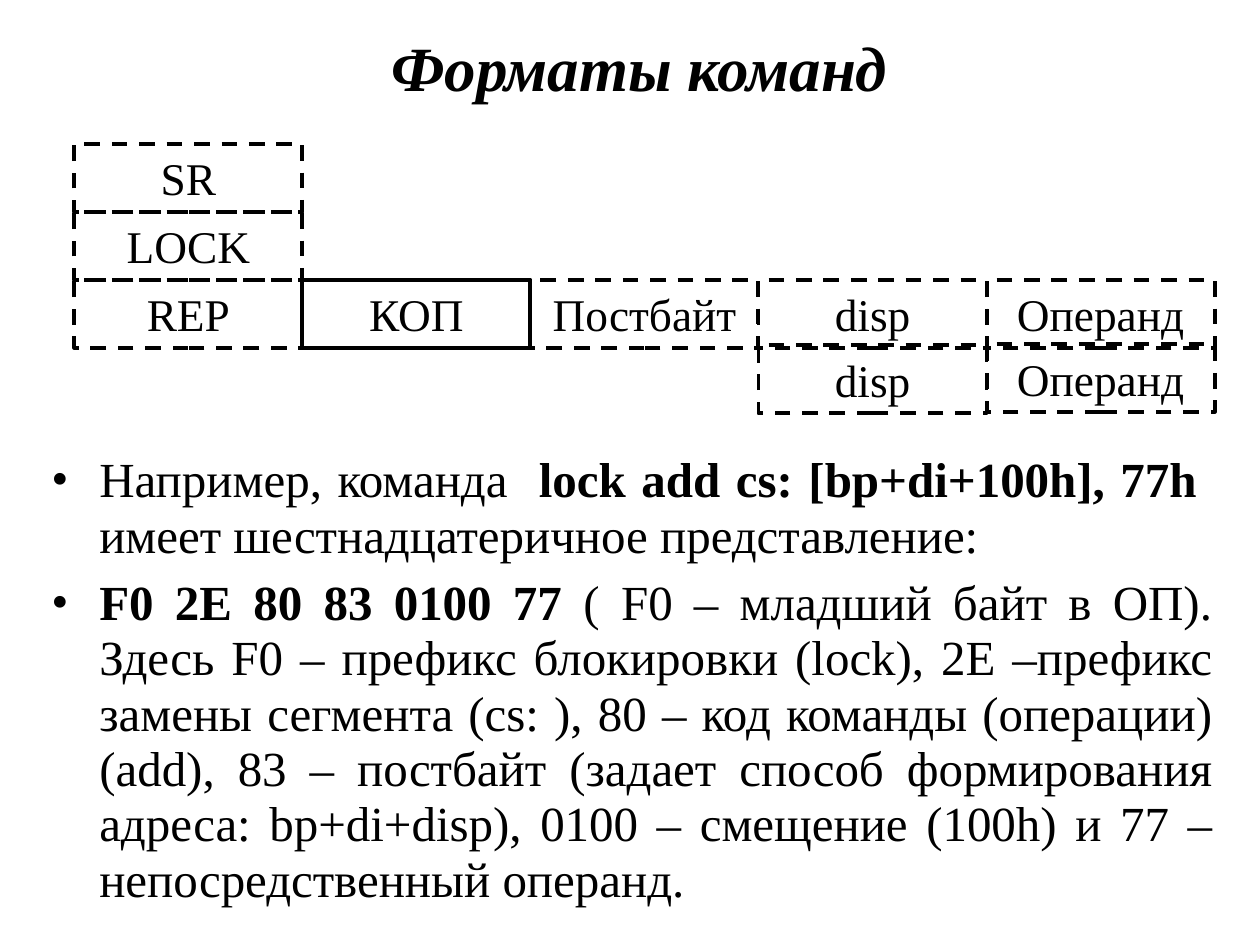
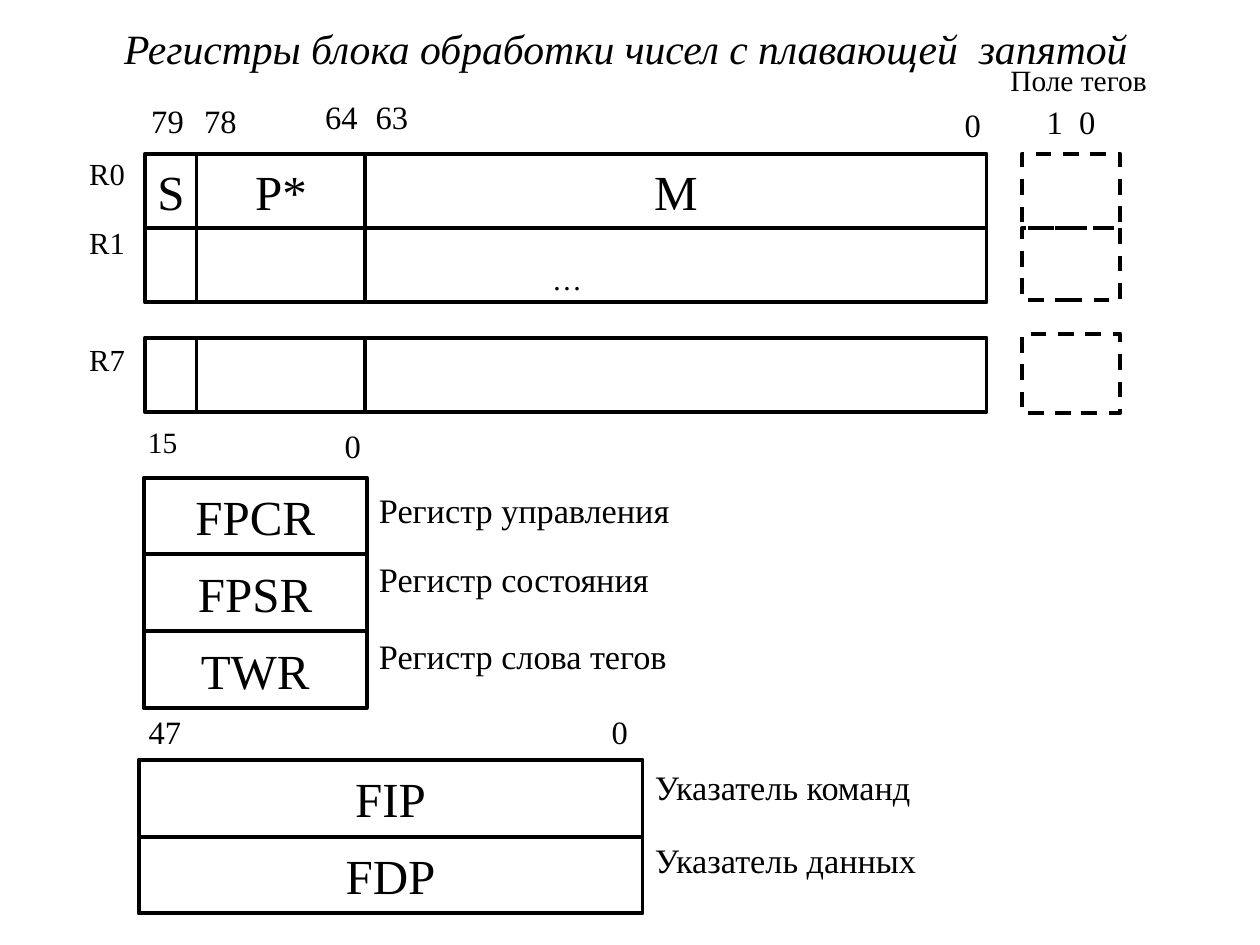
import pptx
import pptx.dml.color
import pptx.enum.dml
import pptx.enum.shapes
import pptx.enum.text
import pptx.util
from dataclasses import dataclass
from itertools import accumulate
from lxml import etree
from pptx.oxml.ns import qn

Inches, Pt = pptx.util.Inches, pptx.util.Pt
ALIGN = pptx.enum.text.PP_ALIGN
ANCHOR = pptx.enum.text.MSO_ANCHOR


@dataclass(frozen=True)
class Theme:
    font: str = "Times New Roman"
    ink: pptx.dml.color.RGBColor = pptx.dml.color.RGBColor(0, 0, 0)
    paper: pptx.dml.color.RGBColor = pptx.dml.color.RGBColor(255, 255, 255)
    outline: float = 2.25
    heading: float = 36
    subheading: float = 23.8
    body: float = 28
    field: float = 25.9
    caption: float = 19.6
    bit: float = 18.6
    row: float = 17.5
    ellipsis: float = 17.1
    small: float = 16.8


THEME = Theme()

# Command format: (text, column, top, dashed)
FORMAT_TITLE = "Форматы команд"
FIELD_LEFT, FIELD_WIDTH, FIELD_HEIGHT = 0.59, 1.81, 0.54
COMMAND_FIELDS = [
    ("REP", 0, 2.22, True),
    ("КОП", 1, 2.22, False),
    ("Постбайт", 2, 2.22, True),
    ("disp", 3, 2.22, True),
    ("Операнд", 4, 2.22, True),
    ("LOCK", 0, 1.68, True),
    ("SR", 0, 1.14, True),
    ("disp", 3, 2.74, True),
    ("Операнд", 4, 2.73, True),
]
# Each paragraph is a list of (text, bold) runs
EXAMPLE = [
    [("Например, команда  ", False),
     ("lock add cs: [bp+di+100h], 77h ", True),
     (" имеет шестнадцатеричное представление:", False)],
    [("F0 2E 80 83 0100 77", True),
     (" ( F0 – младший байт в ОП). Здесь F0 – префикс блокировки (lock), "
      "2E –префикс замены сегмента (cs: ), 80 – код команды (операции) (add), "
      "83 – постбайт (задает способ формирования адреса: bp+di+disp), "
      "0100 – смещение (100h) и 77 – непосредственный операнд.", False)],
]

# Floating-point registers
REGISTERS_TITLE = "Регистры блока обработки чисел с плавающей  запятой"
DATA_LEFT, DATA_WIDTHS, DATA_HEIGHT = 1.15, [0.41, 1.34, 4.93], 0.59
TAG_LEFT, TAG_WIDTH = 8.11, 0.78
# (name, name top, row top, field texts, tag top, tag height)
DATA_REGISTERS = [
    ("R0", 1.18, 1.22, ["S", "P*", "M"], 1.22, 0.59),
    ("R1", 1.73, 1.81, ["", "", ""], 1.81, 0.57),
    ("R7", 2.66, 2.68, ["", "", ""], 2.65, 0.63),
]
# (left, top, width, row height, [(register, meaning, meaning top)])
REGISTER_STACKS = [
    (1.14, 3.79, 1.77, 0.61, [
        ("FPCR", "Регистр управления", 3.83),
        ("FPSR", "Регистр состояния", 4.38),
        ("TWR", "Регистр слова тегов", 4.99)]),
    (1.1, 6.03, 4, 0.61, [
        ("FIP", "Указатель команд", 6.03),
        ("FDP", "Указатель данных", 6.61)]),
]
# (text, centre, top, size)
MARKS = [
    ("79", 1.33, 0.75, THEME.bit),
    ("78", 1.75, 0.75, THEME.bit),
    ("64", 2.71, 0.72, THEME.bit),
    ("63", 3.11, 0.72, THEME.bit),
    ("0", 7.72, 0.78, THEME.bit),
    ("1  0", 8.5, 0.76, THEME.bit),
    ("Поле тегов", 8.56, 0.44, THEME.small),
    ("…", 4.5, 2.02, THEME.ellipsis),
    ("15", 1.29, 3.32, THEME.small),
    ("0", 2.8, 3.33, THEME.bit),
    ("47", 1.31, 5.6, THEME.bit),
    ("0", 4.92, 5.6, THEME.bit),
]
MARK_WIDTH, MARK_HEIGHT = 1.6, 0.42
ROW_NAME_CENTRE = 0.85
MEANING_WIDTH, MEANING_HEIGHT = 4, 0.45


def apply(target, formats):
    for attribute, value in formats.items():
        setattr(target, attribute, value)


def write(paragraph, text, size, **emphasis):
    run = paragraph.add_run()
    run.text = text
    apply(run.font, {"name": THEME.font, "size": Pt(size), **emphasis})
    run.font.color.rgb = THEME.ink


def add_text(slide, at, text, size, align=ALIGN.CENTER, anchor=ANCHOR.TOP, **emphasis):
    frame = slide.shapes.add_textbox(*map(Inches, at)).text_frame
    apply(frame, {"word_wrap": True, "vertical_anchor": anchor})
    frame.paragraphs[0].alignment = align
    if text:
        write(frame.paragraphs[0], text, size, **emphasis)
    return frame


def add_mark(slide, text, centre, top, size):
    at = (centre - MARK_WIDTH / 2, top, MARK_WIDTH, MARK_HEIGHT)
    add_text(slide, at, text, size)


def add_field(slide, at, text, size, dashed=False):
    """Draw an unfilled register or command field."""
    field = slide.shapes.add_shape(
        pptx.enum.shapes.MSO_SHAPE.RECTANGLE, *map(Inches, at))
    field.shadow.inherit = False
    field.fill.background()
    field.line.color.rgb = THEME.ink
    field.line.width = Pt(THEME.outline)
    if dashed:
        field.line.dash_style = pptx.enum.dml.MSO_LINE.DASH
    apply(field.text_frame, {"word_wrap": True, "vertical_anchor": ANCHOR.MIDDLE})
    if text:
        paragraph = field.text_frame.paragraphs[0]
        paragraph.alignment = ALIGN.CENTER
        write(paragraph, text, size)


def add_bullet(paragraph):
    properties = paragraph._p.get_or_add_pPr()
    properties.set("marL", str(Inches(0.38)))
    properties.set("indent", str(Inches(-0.38)))
    etree.SubElement(properties, qn("a:buFont"), typeface=THEME.font)
    etree.SubElement(properties, qn("a:buChar"), char="•")


def add_slide(deck):
    slide = deck.slides.add_slide(deck.slide_layouts[6])
    slide.background.fill.solid()
    slide.background.fill.fore_color.rgb = THEME.paper
    return slide


def build_command_formats(deck):
    slide = add_slide(deck)
    add_text(slide, (0.31, 0.13, 9.53, 0.79), FORMAT_TITLE, THEME.heading,
             anchor=ANCHOR.MIDDLE, bold=True, italic=True)
    for text, column, top, dashed in COMMAND_FIELDS:
        at = (FIELD_LEFT + column * FIELD_WIDTH, top, FIELD_WIDTH, FIELD_HEIGHT)
        add_field(slide, at, text, THEME.field, dashed)

    example = add_text(slide, (0.31, 3.55, 9.41, 3.62), "", THEME.body)
    for number, runs in enumerate(EXAMPLE):
        paragraph = example.add_paragraph() if number else example.paragraphs[0]
        add_bullet(paragraph)
        apply(paragraph, {"alignment": ALIGN.JUSTIFY, "line_spacing": 0.94,
                          "space_before": Pt(7 if number else 0)})
        for text, bold in runs:
            write(paragraph, text, THEME.body, bold=bold)


def build_registers(deck):
    slide = add_slide(deck)
    add_text(slide, (0.12, 0.13, 9.69, 0.5), REGISTERS_TITLE, THEME.subheading,
             italic=True)
    lefts = list(accumulate(DATA_WIDTHS[:-1], initial=DATA_LEFT))
    for name, name_top, top, texts, tag_top, tag_height in DATA_REGISTERS:
        add_mark(slide, name, ROW_NAME_CENTRE, name_top, THEME.row)
        for left, width, text in zip(lefts, DATA_WIDTHS, texts):
            add_field(slide, (left, top, width, DATA_HEIGHT), text, THEME.body)
        add_field(slide, (TAG_LEFT, tag_top, TAG_WIDTH, tag_height), "",
                  THEME.body, dashed=True)

    for left, top, width, height, registers in REGISTER_STACKS:
        for row, (register, meaning, meaning_top) in enumerate(registers):
            add_field(slide, (left, top + row * height, width, height),
                      register, THEME.body)
            add_text(slide, (left + width, meaning_top, MEANING_WIDTH, MEANING_HEIGHT),
                     meaning, THEME.caption, align=ALIGN.LEFT)

    for mark in MARKS:
        add_mark(slide, *mark)


def main():
    deck = pptx.Presentation()
    apply(deck, {"slide_width": Inches(10), "slide_height": Inches(7.5)})
    build_command_formats(deck)
    build_registers(deck)
    deck.save("out.pptx")


if __name__ == "__main__":
    main()
